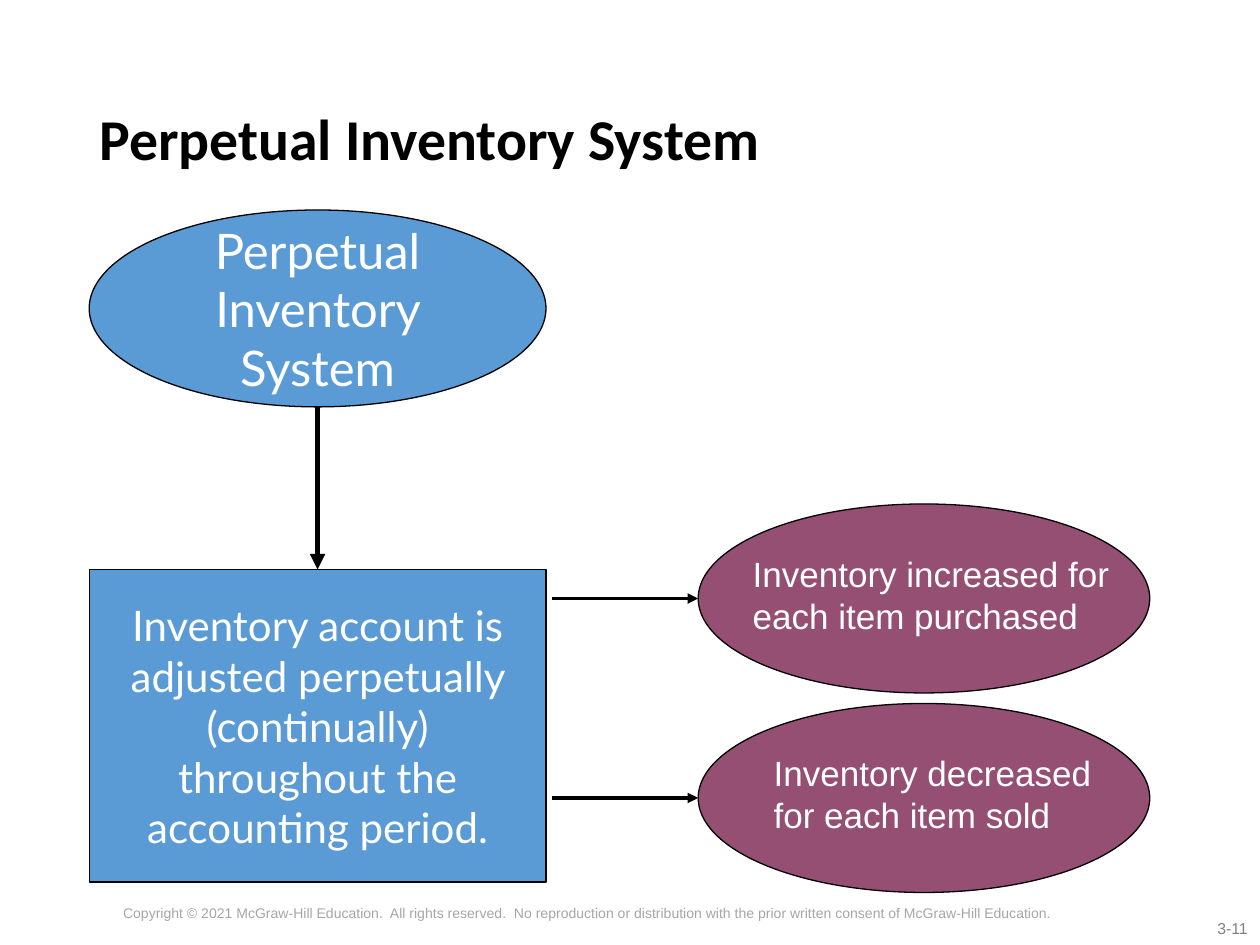
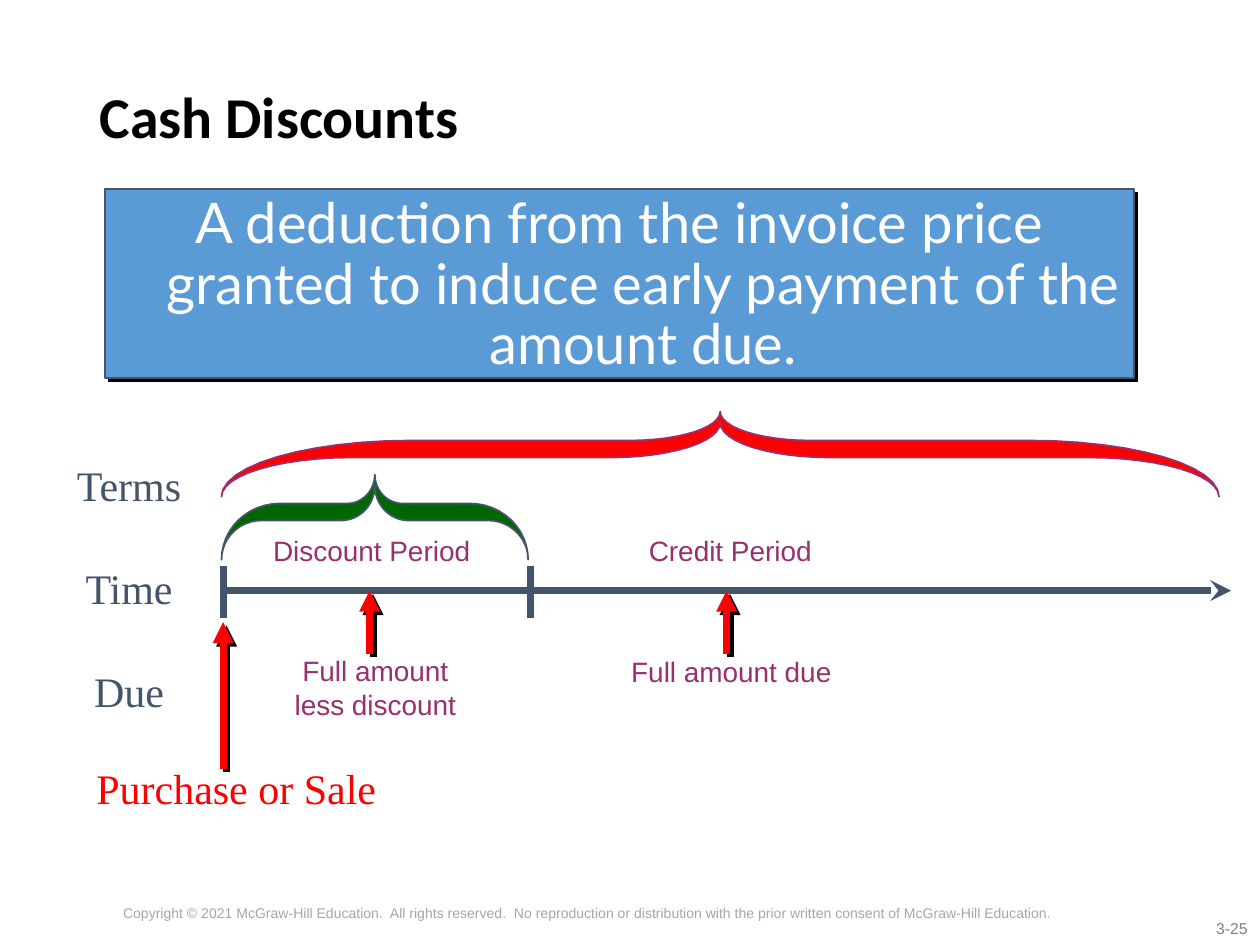
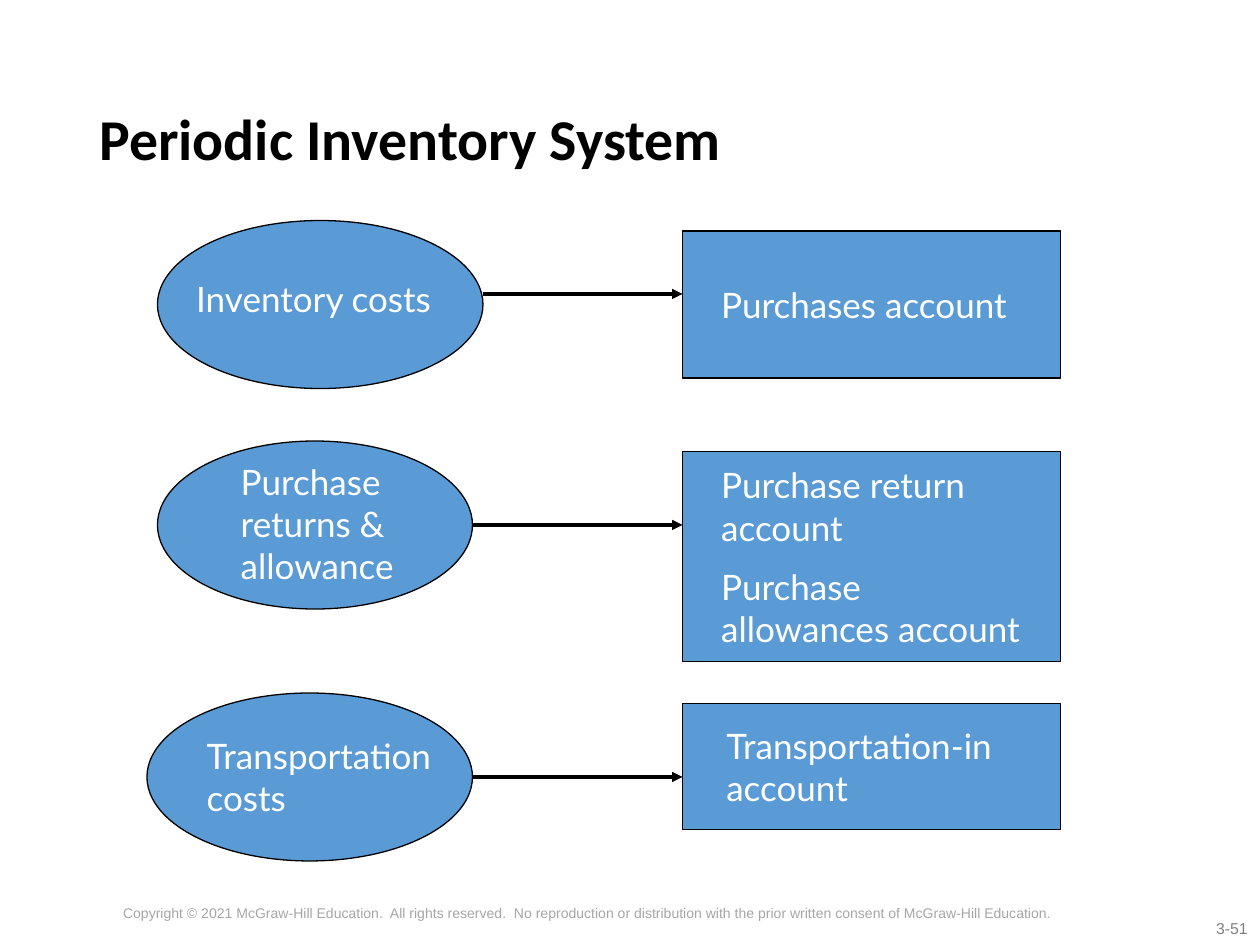
from dataclasses import dataclass
from math import cos, pi, sin

from pptx import Presentation
from pptx import util as u
from pptx.dml.color import RGBColor
from pptx.enum import shapes, text
from pptx.oxml import ns, xmlchemy as xc

# Colours and fonts
BLACK = RGBColor(0x00, 0x00, 0x00)
WHITE = RGBColor(0xFF, 0xFF, 0xFF)
BLUE = RGBColor(0x5B, 0x9B, 0xD5)
PLUM = RGBColor(0x95, 0x4F, 0x72)
MAGENTA = RGBColor(0x9A, 0x2F, 0x6F)
SLATE = RGBColor(0x44, 0x54, 0x6A)
RED = RGBColor(0xFF, 0x00, 0x00)
GREEN = RGBColor(0x00, 0x66, 0x00)
GREY = RGBColor(0x80, 0x80, 0x80)
PALE_GREY = RGBColor(0xA6, 0xA6, 0xA6)
ARIAL, LATO, TIMES, CALIBRI = "Arial", "Lato", "Times New Roman", "Calibri"

LEFT, CENTER, RIGHT = text.PP_ALIGN.LEFT, text.PP_ALIGN.CENTER, text.PP_ALIGN.RIGHT
OVAL, RECT = shapes.MSO_SHAPE.OVAL, shapes.MSO_SHAPE.RECTANGLE
COPYRIGHT = ("Copyright © 2021 McGraw-Hill Education.  All rights reserved.  "
             "No reproduction or distribution with the prior written consent "
             "of McGraw-Hill Education.")

# The slide is a grid of 120 columns and 90 rows
COLUMNS, ROWS = 120, 90
SLIDE_W, SLIDE_H = u.Inches(10), u.Inches(7.5)


def col(n: float) -> int:
    return round(SLIDE_W * n / COLUMNS)


def row(n: float) -> int:
    return round(SLIDE_H * n / ROWS)


@dataclass(frozen=True)
class Box:
    x: float
    y: float
    w: float
    h: float

    def emu(self) -> tuple[int, int, int, int]:
        return col(self.x), row(self.y), col(self.w), row(self.h)


@dataclass(frozen=True)
class Label:
    box: Box
    lines: tuple[str, ...]


@dataclass(frozen=True)
class Flow:
    """An oval that points to an account."""
    oval: Box
    cause: Label
    arrow_y: float
    rect: Box
    account: Label


# Shared drawing functions
def write(tf, *lines: str, font: str = ARIAL, size: float = 20, color=WHITE,
          bold: bool = False, align=LEFT, gap: float = 0, spacing: float = 1.0) -> None:
    for i, line in enumerate(lines):
        p = tf.paragraphs[0] if i == 0 else tf.add_paragraph()
        p.alignment, p.line_spacing = align, spacing
        if i and gap:
            p.space_before = u.Pt(gap)
        r = p.add_run()
        r.text = line
        r.font.name, r.font.size, r.font.bold = font, u.Pt(size), bold
        r.font.color.rgb = color


def add_text(s, label: Label, wrap: bool = True, **fmt) -> None:
    tf = s.shapes.add_textbox(*label.box.emu()).text_frame
    tf.word_wrap = wrap
    tf.auto_size = text.MSO_AUTO_SIZE.SHAPE_TO_FIT_TEXT
    write(tf, *label.lines, **fmt)


def set_effects(sp, shadow: bool) -> None:
    """Leave no shadow, or a hard black one to the lower right."""
    props = sp._element.spPr
    for old in props.findall(ns.qn("a:effectLst")):
        props.remove(old)
    effects = xc.OxmlElement("a:effectLst")
    props.append(effects)
    if shadow:
        outer = xc.OxmlElement("a:outerShdw")
        for key, value in dict(blurRad=0, dist=u.Pt(2.8), dir=45 * 60000,
                               algn="ctr", rotWithShape=0).items():
            outer.set(key, str(int(value)) if key != "algn" else value)
        black = xc.OxmlElement("a:srgbClr")
        black.set("val", str(BLACK))
        outer.append(black)
        effects.append(outer)


def paint(sp, fill, line, width: float, shadow: bool = False) -> None:
    sp.fill.solid()
    sp.fill.fore_color.rgb = fill
    sp.line.color.rgb, sp.line.width = line, u.Pt(width)
    set_effects(sp, shadow)


def add_block(s, kind, box: Box, fill=BLUE, line=BLACK, width: float = 0.75,
              shadow: bool = False):
    sp = s.shapes.add_shape(kind, *box.emu())
    paint(sp, fill, line, width, shadow)
    sp.text_frame.word_wrap = True
    sp.text_frame.vertical_anchor = text.MSO_ANCHOR.MIDDLE
    return sp


def add_line(s, x1: float, y1: float, x2: float, y2: float, color=BLACK,
             width: float = 2, head: str = "triangle", shadow: bool = False) -> None:
    sp = s.shapes.add_connector(shapes.MSO_CONNECTOR.STRAIGHT,
                                col(x1), row(y1), col(x2), row(y2))
    sp.line.color.rgb, sp.line.width = color, u.Pt(width)
    if head:
        end = xc.OxmlElement("a:tailEnd")
        end.set("type", head)
        sp.line._get_or_add_ln().append(end)
    set_effects(sp, shadow)


def add_brace(s, box: Box, fill, line) -> None:
    """A brace with its tip up, from quarter ellipses given in shares of the box."""
    def half_edge(arm: float, shoulder: float, neck: float, tip: float) -> list:
        turns = [i * pi / 24 for i in range(13)]
        lower = [(arm * (1 - cos(t)), 1 - (1 - shoulder) * sin(t)) for t in turns]
        upper = [(0.5 - neck + neck * sin(t), tip + (shoulder - tip) * cos(t))
                 for t in turns]
        return lower + upper

    outer = half_edge(0.19, 0.34, 0.09, 0)
    inner = half_edge(0.13, 0.54, 0.11, 0.13)
    outline = (outer + [(1 - x, y) for x, y in reversed(outer)]
               + [(1 - x, y) for x, y in inner] + inner[::-1])
    points = [(col(box.x + x * box.w), row(box.y + y * box.h)) for x, y in outline]
    builder = s.shapes.build_freeform(*points[0])
    builder.add_line_segments(points[1:], close=True)
    paint(builder.convert_to_shape(), fill, line, 1)


def new_slide(prs, title: str, number: str, title_rows: float = 17.4):
    """Title, slide number and copyright line."""
    s = prs.slides.add_slide(prs.slide_layouts[5])
    sp = s.shapes.title
    sp.left, sp.top, sp.width, sp.height = Box(8.28, 4.8, 103.44, title_rows).emu()
    tf = sp.text_frame
    tf.auto_size = text.MSO_AUTO_SIZE.NONE
    tf.vertical_anchor = text.MSO_ANCHOR.MIDDLE
    write(tf, title, font=CALIBRI, size=33, color=BLACK, bold=True, spacing=0.9)
    add_text(s, Label(Box(105.5, 86.9, 14.5, 3), (number,)),
             size=9, color=GREY, align=RIGHT)
    add_text(s, Label(Box(0, 85.56, 112, 4.44), (COPYRIGHT,)),
             size=8, color=PALE_GREY, align=CENTER)
    return s


# Slide 1
def perpetual_system(prs) -> None:
    s = new_slide(prs, "Perpetual Inventory System", "3-11")
    system = add_block(s, OVAL, Box(8.5, 20, 43.5, 18.75))
    write(system.text_frame, "Perpetual Inventory System",
          font=LATO, size=28, align=CENTER)
    account = add_block(s, RECT, Box(8.5, 54.25, 43.5, 29.75))
    write(account.text_frame, "Inventory account is adjusted perpetually "
          "(continually) throughout the accounting period.",
          font=LATO, size=24, align=CENTER)
    add_line(s, 30.25, 38.75, 30.25, 54.25, width=3)

    effects = (
        Label(Box(70.5, 52, 40, 9.25), ("Inventory increased for each item purchased",)),
        Label(Box(72.5, 71, 34, 9.25), ("Inventory decreased for each item sold",)),
    )
    for i, effect in enumerate(effects):
        top = 48 + 19 * i
        add_line(s, 52.56, top + 9, 66.5, top + 9)
        add_block(s, OVAL, Box(66.5, top, 43, 18), fill=PLUM)
        add_text(s, effect)


# Slide 2
def cash_discounts(prs) -> None:
    s = new_slide(prs, "Cash Discounts", "3-25", title_rows=13.2)
    definition = add_block(s, RECT, Box(10, 18, 98, 18), line=SLATE, width=1, shadow=True)
    tf = definition.text_frame
    tf.vertical_anchor = text.MSO_ANCHOR.TOP
    write(tf, "A deduction from the invoice price granted to induce early "
          "payment of the amount due.", font=LATO, size=32, align=CENTER, spacing=0.9)
    hanging = tf.paragraphs[0]._p.get_or_add_pPr()
    hanging.set("marL", str(col(4.5)))
    hanging.set("indent", str(-col(4.5)))

    # Time line with its ticks and braces
    start, discount_end, axis = 21.25, 50.5, 56.25
    add_line(s, start, axis, 117.25, axis, SLATE, 4, "stealth")
    for x in (start, discount_end):
        add_line(s, x, 53.88, x, 58.88, SLATE, 4, "")
    add_brace(s, Box(21.1, 45.2, 29.2, 8.1), GREEN, SLATE)
    add_brace(s, Box(21.1, 39.2, 95, 8.1), RED, MAGENTA)

    # Labels
    add_text(s, Label(Box(5.6, 43.2, 13.4, 25.1), ("Terms", "Time", "Due")), wrap=False,
             font=TIMES, size=24, color=SLATE, align=CENTER, gap=30)
    for label in (
        Label(Box(24, 50.25, 22.8, 4.35), ("Discount Period",)),
        Label(Box(26, 61.7, 19.5, 7.5), ("Full amount", "less discount")),
        Label(Box(60, 50.25, 19.1, 4.35), ("Credit Period",)),
        Label(Box(58.2, 61.7, 22.9, 4.35), ("Full amount due",)),
    ):
        add_text(s, label, wrap=False, size=16, color=MAGENTA, align=CENTER)
    add_text(s, Label(Box(8, 72, 31, 6), ("Purchase or Sale",)), wrap=False,
             font=TIMES, size=24, color=RED)

    # Arrows up to the time line
    for x, bottom, top in ((69.2, 62.25, axis), (35.2, 62.25, axis), (start, 73.2, 59.25)):
        add_line(s, x, bottom, x, top, RED, 4, shadow=True)


# Slide 3
FLOWS = (
    Flow(Box(15, 21, 31, 16), Label(Box(17.5, 25.8, 26, 5.25), ("Inventory costs",)),
         28, Box(65, 22, 36, 14),
         Label(Box(67.5, 26.4, 31, 5.25), ("Purchases account",))),
    Flow(Box(15, 42, 30, 16),
         Label(Box(21.75, 43.3, 17.5, 13.3), ("Purchase returns & allowance",)),
         50, Box(65, 43, 36, 20),
         Label(Box(67.5, 43.6, 32.3, 19.4),
               ("Purchase return account", "Purchase allowances account"))),
    Flow(Box(14, 66, 31, 16), Label(Box(18.5, 69.4, 24, 9.25), ("Transportation costs",)),
         74, Box(65, 67, 36, 12),
         Label(Box(68, 68.4, 29, 9.25), ("Transportation-in account",))),
)


def periodic_system(prs) -> None:
    s = new_slide(prs, "Periodic Inventory System", "3-51")
    for flow in FLOWS:
        add_block(s, OVAL, flow.oval)
        add_text(s, flow.cause, font=LATO)
        add_line(s, flow.oval.x + flow.oval.w, flow.arrow_y,
                 flow.rect.x, flow.arrow_y, width=1.75)
        add_block(s, RECT, flow.rect)
        add_text(s, flow.account, font=LATO, gap=10)


def main() -> None:
    prs = Presentation()
    prs.slide_width, prs.slide_height = SLIDE_W, SLIDE_H
    perpetual_system(prs)
    cash_discounts(prs)
    periodic_system(prs)
    prs.save("out.pptx")


if __name__ == "__main__":
    main()
